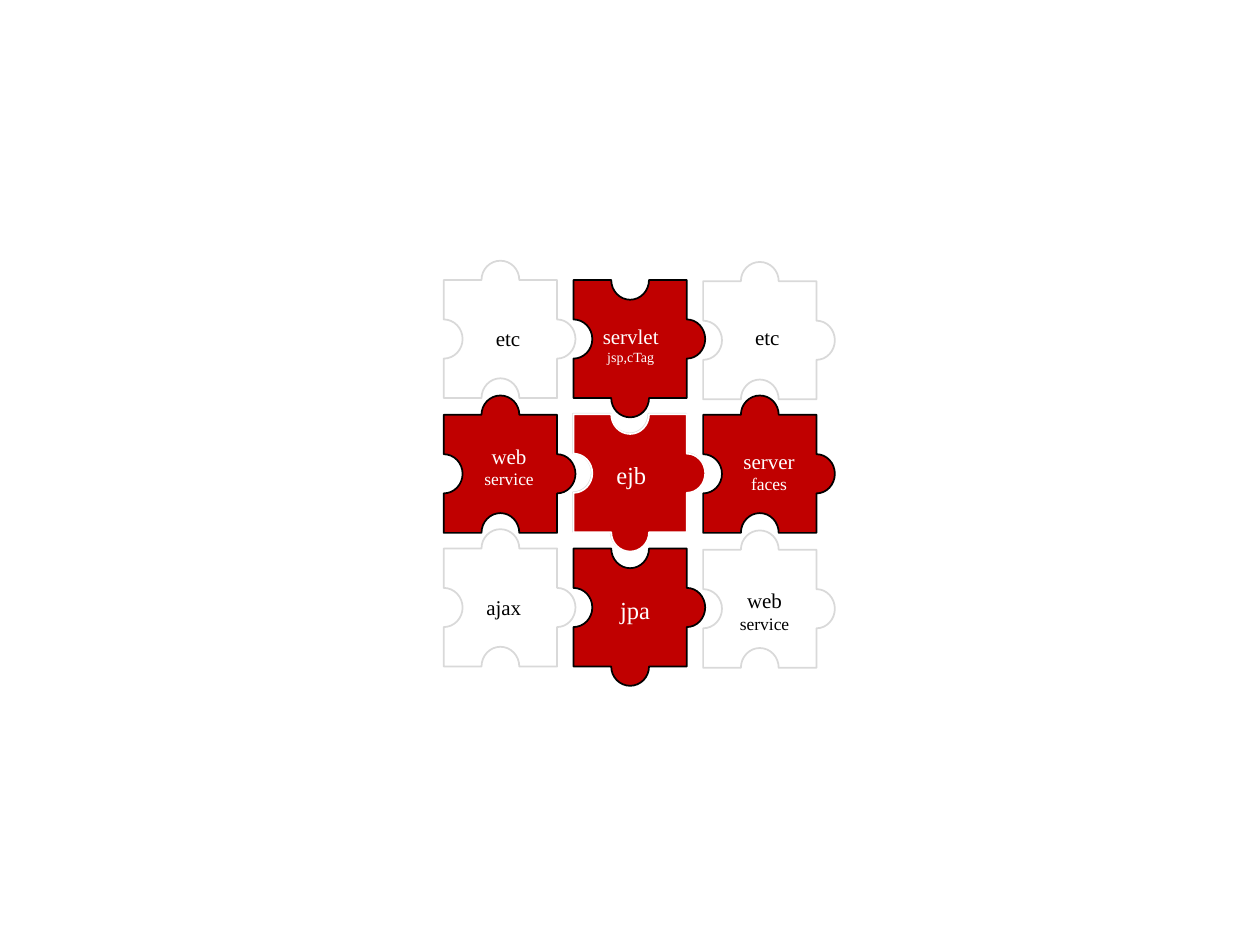
import math

import pptx
import pptx.util
import pptx.dml.color
import pptx.enum.text

Pt = pptx.util.Pt
HUES = {"red": "C00000", "black": "000000", "white": "FFFFFF", "gray": "D9D9D9"}
FONT = "Times New Roman"
WIDE, HIGH = 64.8, 67.5
LEFT, TOP = 253.6, 160
STEP_X, STEP_Y = 74.1, 76.7

# column, row, drop, style, text box within the piece, lines with sizes
PIECES = [
    (0, 0, 0, "plain", (22.3, 22.3, 28.8, 21.6), [("etc", 12)]),
    (2, 0, 0.7, "plain", (22.3, 21, 28.8, 21.6), [("etc", 12)]),
    (0, 2, 0, "plain", (17, 22.8, 34.6, 21.6), [("ajax", 12)]),
    (2, 2, 0.7, "plain", (13.5, 18, 43.2, 33.8), [("web", 12), ("service", 10)]),
    (0, 1, 0.3, "bold", (15.7, 12.8, 43.2, 33.8), [("web", 12), ("service", 10)]),
    (2, 1, 0.3, "bold", (15.7, 15.5, 43.9, 33.8), [("server", 12), ("faces", 10)]),
    (1, 0, 0, "bold", (9.3, 21.4, 46.8, 31.7), [("servlet", 12), ("jsp,cTag", 8)]),
    (1, 2, 0, "bold", (19.4, 23.3, 31.7, 24.5), [("jpa", 14)]),
    (1, 1, 0, "core", (17.2, 22.4, 31.7, 24.5), [("ejb", 14)]),
]
STYLES = {
    "plain": (None, "gray", "black"),
    "bold": ("red", "black", "white"),
    "core": ("red", "white", "white"),
}


def tint(name):
    """Return the named colour."""
    return pptx.dml.color.RGBColor.from_string(HUES[name])


def arc(mid_x, mid_y, rad_x, rad_y, start, sweep):
    """Return points along half an ellipse."""
    turns = [math.radians(start + sweep * i / 16) for i in range(17)]
    return [(mid_x + rad_x * math.cos(t), mid_y + rad_y * math.sin(t)) for t in turns]


def outline(flip):
    """Return the edge of a piece, upside down if flip is set."""
    edge = [(0, 0)] + arc(WIDE / 2, 0, 10.8, 11, 180, 180)
    edge += [(WIDE, 0)] + arc(WIDE, HIGH / 2, 10.5, 11.2, 270, 180)
    edge += [(WIDE, HIGH)] + arc(WIDE / 2, HIGH, 10.8, 11.3, 0, -180)
    edge += [(0, HIGH)] + arc(0, HIGH / 2, 10.8, 11.2, 90, -180)
    return [(x, HIGH - y) for x, y in edge] if flip else edge


def piece(slide, left, top, flip, fill, line):
    """Draw one jigsaw piece with its body at left, top."""
    edge = [(Pt(left + x), Pt(top + y)) for x, y in outline(flip)]
    form = slide.shapes.build_freeform(*edge[0])
    form.add_line_segments(edge[1:], close=True)
    shape = form.convert_to_shape()
    shape.shadow.inherit = False
    if fill:
        shape.fill.solid()
        shape.fill.fore_color.rgb = tint(fill)
    else:
        shape.fill.background()
    shape.line.color.rgb = tint(line)
    shape.line.width = Pt(1)


def label(slide, left, top, box, lines, hue):
    """Write the lines of one piece, with box relative to left, top."""
    x, y, wide, high = box
    area = slide.shapes.add_textbox(Pt(left + x), Pt(top + y), Pt(wide), Pt(high))
    frame = area.text_frame
    frame.word_wrap = False
    frame.auto_size = pptx.enum.text.MSO_AUTO_SIZE.SHAPE_TO_FIT_TEXT
    frame.text = "\n".join(text for text, size in lines)
    for para, (text, size) in zip(frame.paragraphs, lines):
        para.alignment = pptx.enum.text.PP_ALIGN.CENTER
        font = para.runs[0].font
        font.name, font.size = FONT, Pt(size)
        font.color.rgb = tint(hue)


def puzzle(slide, left, top):
    """Lay out the three by three jigsaw, then its labels."""
    spots = [(left + col * STEP_X, top + row * STEP_Y + drop)
             for col, row, drop, *rest in PIECES]
    for (x, y), (col, row, drop, style, box, lines) in zip(spots, PIECES):
        fill, line, hue = STYLES[style]
        if style == "core":
            piece(slide, x - 0.3, y - 0.3, True, None, "gray")
        piece(slide, x, y, col == 1, fill, line)
    for (x, y), (col, row, drop, style, box, lines) in zip(spots, PIECES):
        label(slide, x, y, box, lines, STYLES[style][2])


def main():
    """Build and save the slide."""
    deck = pptx.Presentation()
    deck.slide_width, deck.slide_height = Pt(720), Pt(540)
    slide = deck.slides.add_slide(deck.slide_layouts[6])
    puzzle(slide, LEFT, TOP)
    deck.save("out.pptx")


if __name__ == "__main__":
    main()
